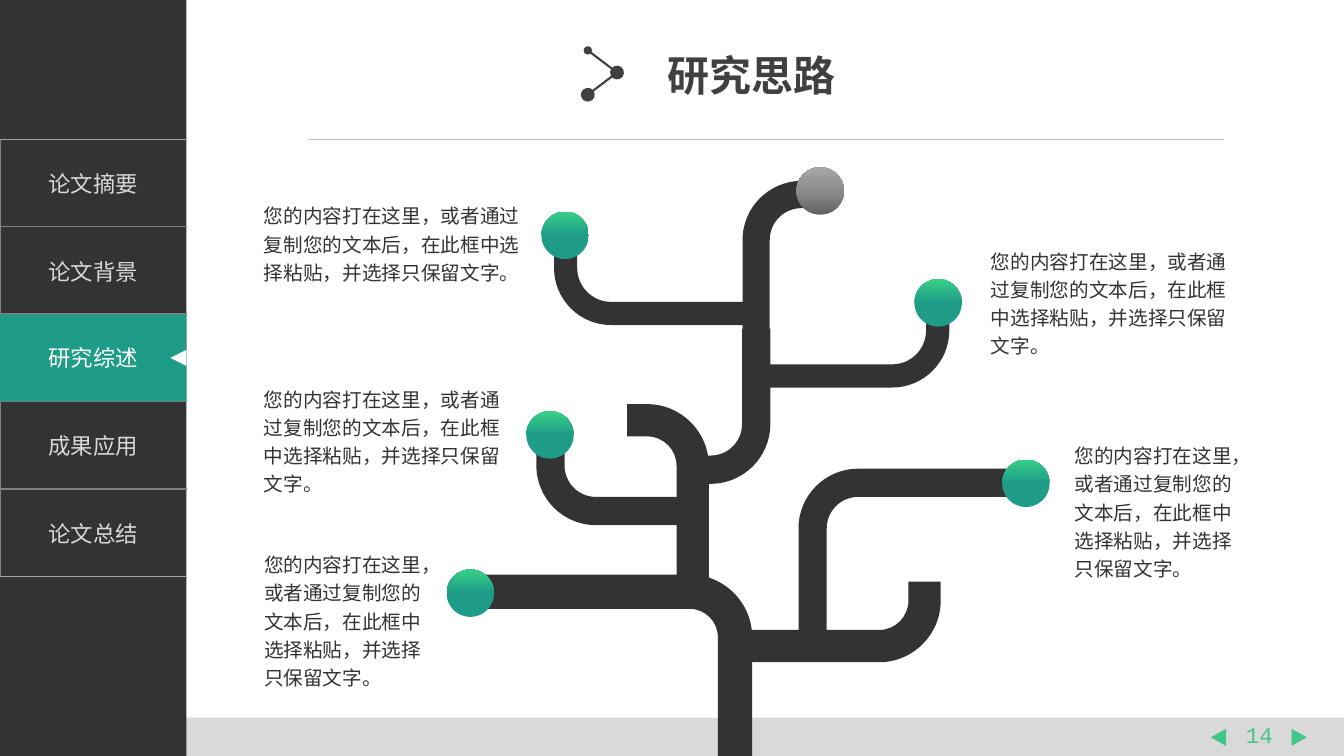
"""Builds the research outline slide with its side menu and branching tree."""
import copy
import math

import pptx
import pptx.dml.color
import pptx.enum.shapes
import pptx.enum.text
import pptx.oxml
import pptx.oxml.ns
import pptx.util

Inches = pptx.util.Inches
Shapes = pptx.enum.shapes.MSO_SHAPE
Align = pptx.enum.text.PP_ALIGN
Anchor = pptx.enum.text.MSO_ANCHOR
qn = pptx.oxml.ns.qn
DARK, TEAL, GREEN, LIGHT, WHITE = "333333", "1E9C87", "42C687", "D9D9D9", "FFFFFF"
FONT = "Noto Sans CJK SC"
BODY = "您的内容打在这里，或者通过复制您的文本后，在此框中选择粘贴，并选择只保留文字。"


def rgb(value):
    return pptx.dml.color.RGBColor.from_string(value)


def element(tag, content="", **attributes):
    listed = "".join(f' {name}="{value}"' for name, value in attributes.items())
    return pptx.oxml.parse_xml(
        f"<a:{tag} {pptx.oxml.ns.nsdecls('a')}{listed}>{content}</a:{tag}>")


def write(frame, text, size=16, color=DARK, font=FONT, bold=False,
          align=Align.LEFT, anchor=Anchor.TOP, spacing=1.0, wrap=True):
    frame.word_wrap = wrap
    frame.vertical_anchor = anchor
    para = frame.paragraphs[0]
    para.alignment = align
    para.line_spacing = spacing
    span = para.add_run()
    span.text = text
    span.font.name = font
    span.font.size = pptx.util.Pt(size)
    span.font.bold = bold
    span.font.color.rgb = rgb(color)
    span._r.get_or_add_rPr().append(element("ea", typeface=font))


class Painter:
    def __init__(self, page):
        self.page = page

    def finish(self, shape, color):
        shape.shadow.inherit = False
        shape.line.fill.background()
        shape.fill.solid()
        shape.fill.fore_color.rgb = rgb(color)
        return shape

    def shape(self, kind, left, top, width, height, color, rotation=0):
        shape = self.page.shapes.add_shape(
            kind, Inches(left), Inches(top), Inches(width), Inches(height))
        shape.rotation = rotation
        return self.finish(shape, color)

    def text(self, left, top, width, height, text, **style):
        box = self.page.shapes.add_textbox(
            Inches(left), Inches(top), Inches(width), Inches(height))
        write(box.text_frame, text, **style)
        box.text_frame.auto_size = pptx.enum.text.MSO_AUTO_SIZE.SHAPE_TO_FIT_TEXT

    def line(self, start, end, color, width, dots=()):
        line = self.page.shapes.add_connector(
            pptx.enum.shapes.MSO_CONNECTOR.STRAIGHT,
            *(Inches(value) for value in start + end))
        line.line.color.rgb = rgb(color)
        line.line.width = pptx.util.Pt(width)
        outline = line.element.spPr.find(qn("a:ln"))
        for tag, size in zip(("headEnd", "tailEnd"), dots):
            outline.append(element(tag, type="oval", w=size, len=size))
        line.element.spPr.append(element("effectLst"))

    def ball(self, left, top, colors):
        ball = self.shape(Shapes.OVAL, left, top, 0.47, 0.47, TEAL)
        ball.fill.gradient()
        ball.fill.gradient_angle = 90
        stops = ball.element.spPr.find(".//" + qn("a:gsLst"))
        stops.append(copy.deepcopy(stops[0]))
        for stop, place, color in zip(ball.fill.gradient_stops, (0, 0.5, 1), colors):
            stop.position = place
            stop.color.rgb = rgb(color)

    def branch(self, start_x, level, bend_x, end_y, width, radius=0.45):
        across = math.copysign(1, bend_x - start_x)
        down = math.copysign(1, end_y - level)
        center_x, center_y = bend_x - across * radius, level + down * radius

        def edge(offset):
            reach = radius + offset
            bend = [(center_x + across * reach * x, center_y - down * reach * y)
                    for x, y in ((0, 1), (0.55, 1), (1, 0.55), (1, 0))]
            return [(start_x, level - down * offset), *bend,
                    (bend_x + across * offset, end_y)]

        points = [(Inches(x), Inches(y))
                  for x, y in edge(width / 2) + edge(-width / 2)[::-1]]
        builder = self.page.shapes.build_freeform(*points[0], scale=1.0)
        builder.add_line_segments(points[1:], close=True)
        shape = self.finish(builder.convert_to_shape(), DARK)
        lines = list(shape.element.iter(qn("a:lnTo")))
        for first in (1, 7):
            curve = element("cubicBezTo")
            lines[first].addprevious(curve)
            for segment in lines[first:first + 3]:
                curve.append(segment[0])
                segment.getparent().remove(segment)

    def menu(self, labels, left, top, width, height):
        frame = self.page.shapes.add_table(
            len(labels), 1, Inches(left), Inches(top), Inches(width), Inches(height))
        table = frame.table
        table.first_row = table.horz_banding = False
        last = len(labels) - 1
        for row, label in enumerate(labels):
            cell = table.cell(row, 0)
            write(cell.text_frame, label, color=LIGHT, align=Align.CENTER)
            cell.vertical_anchor = Anchor.MIDDLE
            borders = {"lnL": "808080", "lnR": None,
                       "lnT": "A6A6A6" if row == 0 else "808080",
                       "lnB": "A6A6A6" if row == last else "808080"}
            for tag, color in borders.items():
                paint = (f'<a:solidFill><a:srgbClr val="{color}"/></a:solidFill>'
                         if color else "<a:noFill/>")
                cell._tc.get_or_add_tcPr().append(element(tag, paint, w=12700))
            cell.fill.background()


def main():
    deck = pptx.Presentation()
    deck.slide_width, deck.slide_height = Inches(13.33), Inches(7.5)
    painter = Painter(deck.slides.add_slide(deck.slide_layouts[6]))

    painter.shape(Shapes.RECTANGLE, 0, 7.12, 13.33, 0.38, LIGHT)
    painter.text(12.25, 7.11, 0.48, 0.37, "14", color=GREEN, font="Courier New",
                 align=Align.CENTER, wrap=False)
    painter.shape(Shapes.RECTANGLE, 0, 0, 1.85, 7.5, DARK)
    labels = ["论文摘要", "论文背景", "研究综述", "成果应用", "论文总结"]
    painter.menu(labels, 0, 1.38, 1.85, 4.34)
    for left, rotation in ((12.8, 90), (12, 270)):
        painter.shape(Shapes.ISOSCELES_TRIANGLE, left, 7.24, 0.17, 0.15, GREEN, rotation)
    painter.line((3.05, 1.38), (12.14, 1.38), "BFBFBF", 0.5)
    active = painter.shape(Shapes.RECTANGLE, 0, 3.12, 1.85, 0.86, TEAL)
    write(active.text_frame, labels[2], color=WHITE, align=Align.CENTER,
          anchor=Anchor.MIDDLE)
    painter.shape(Shapes.ISOSCELES_TRIANGLE, 1.69, 3.47, 0.16, 0.16, WHITE, 270)

    for branch in ((4.65, 5.87, 7.29, 7.82, 0.34), (7.29, 6.41, 9.17, 5.77, 0.32),
                   (7.55, 3.73, 9.3, 3.08, 0.23), (6.22, 4.17, 6.87, 5.88, 0.32),
                   (10.19, 4.79, 8.06, 6.47, 0.28), (7.46, 3.11, 5.61, 2.46, 0.23),
                   (6.86, 5.07, 5.46, 4.43, 0.28), (6.86, 4.66, 7.5, 3.26, 0.28),
                   (8.15, 1.93, 7.5, 3.33, 0.27)):
        painter.branch(*branch)
    for left, top in ((4.43, 5.65), (5.22, 4.08), (9.94, 4.56), (9.07, 2.77), (5.37, 2.1)):
        painter.ball(left, top, (TEAL, TEAL, "38D087"))

    for area in ((2.52, 5.39, 1.82, 1.51), (2.52, 3.75, 2.63, 1.23),
                 (10.56, 4.31, 1.78, 1.51), (9.73, 2.38, 2.61, 1.23),
                 (2.52, 1.93, 2.76, 0.95)):
        painter.text(*area, BODY, size=14, spacing=1.2)
    painter.ball(7.9, 1.66, ("626262", "8C8C8C", "A6A6A6"))

    painter.text(6.52, 0.44, 1.88, 0.61, "研究思路", size=30, color="404040",
                 font="Arial", bold=True, wrap=False)
    elbow = (6.12, 0.72)
    painter.line((5.83, 0.5), elbow, "404040", 1.5, dots=("med", "lg"))
    painter.line(elbow, (5.83, 0.94), "404040", 1.5, dots=("med", "lg"))
    deck.save("out.pptx")


if __name__ == "__main__":
    main()
